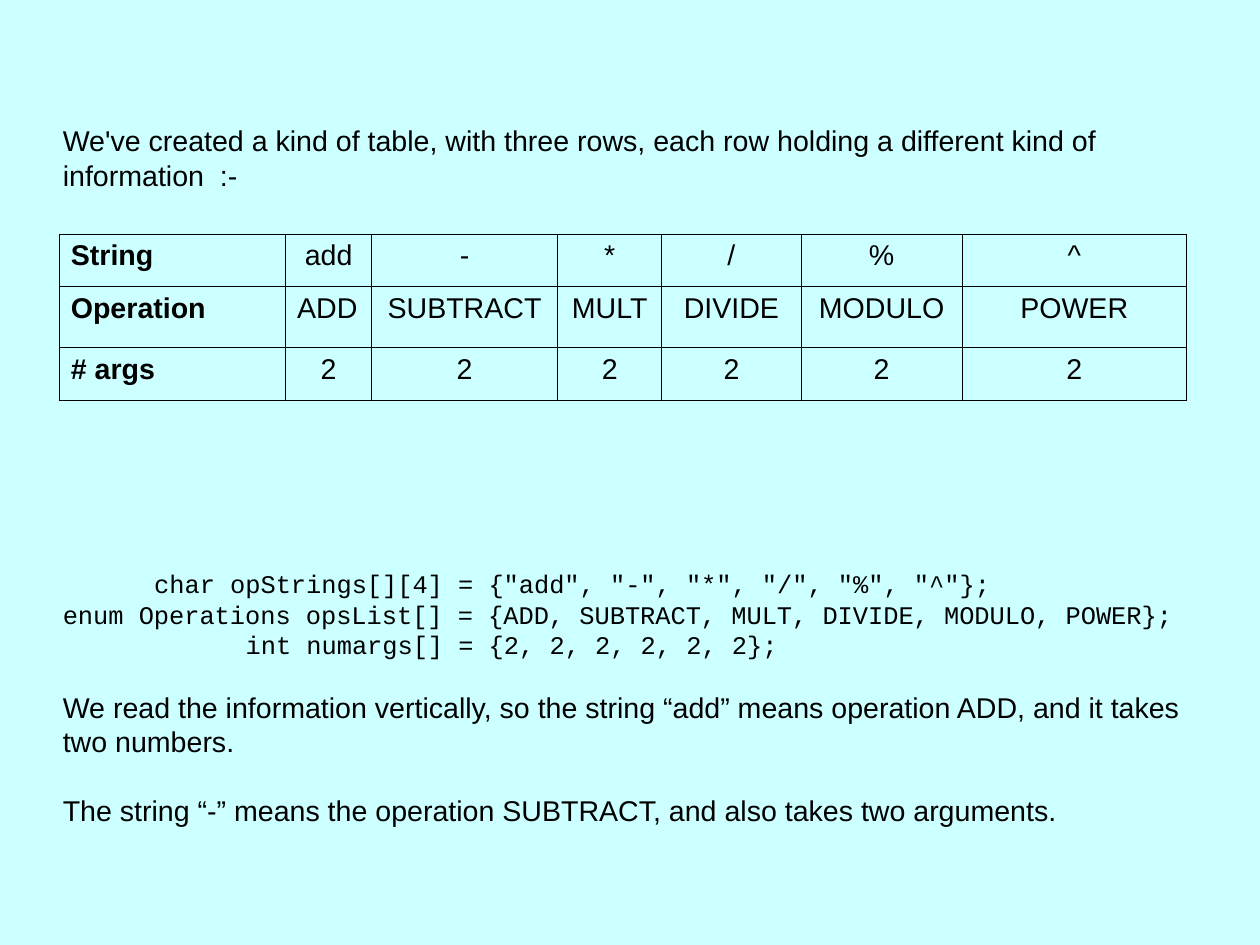
from dataclasses import dataclass

from pptx import Presentation, slide as sl, table as tb, util as u
from pptx.dml import color
from pptx.enum import text
from pptx.oxml import ns
from lxml import etree


@dataclass(frozen=True)
class Theme:
    background: str = "CCFFFF"
    ink: str = "000000"
    prose_font: str = "Arial"
    code_font: str = "Courier New"
    prose_size: float = 18
    code_size: float = 16
    leading: float = 1.2
    border_width: float = 0.57


@dataclass(frozen=True)
class Passage:
    words: str
    gap: float = 0
    code: bool = False
    indent_chars: int = 0


THEME = Theme()
PAGE_WIDTH = u.Emu(10080625)
PAGE_HEIGHT = u.Emu(7559675)
CODE_CHAR_WIDTH = 0.6 * THEME.code_size / 72

PASSAGES = [
    Passage("We've created a kind of table, with three rows, each row holding "
            "a different kind of information  :-"),
    Passage('char opStrings[][4] = {"add", "-", "*", "/", "%", "^"};',
            gap=237, code=True, indent_chars=6),
    Passage("enum Operations opsList[] = {ADD, SUBTRACT, MULT, DIVIDE, MODULO, POWER};",
            code=True),
    Passage("int numargs[] = {2, 2, 2, 2, 2, 2};", code=True, indent_chars=12),
    Passage("We read the information vertically, so the string “add” means "
            "operation ADD, and it takes two numbers.", gap=19),
    Passage("The string “-” means the operation SUBTRACT, and also takes two arguments.",
            gap=21.6),
]

OPERATION_ROWS = [
    ["String", "add", "-", "*", "/", "%", "^"],
    ["Operation", "ADD", "SUBTRACT", "MULT", "DIVIDE", "MODULO", "POWER"],
    ["# args"] + ["2"] * 6,
]
COLUMN_WIDTHS = [1.98, 0.75, 1.63, 0.91, 1.22, 1.41, 1.96]
ROW_HEIGHTS = [0.46, 0.53, 0.46]


def style_font(font, name: str, size: float, bold: bool = False) -> None:
    font.name = name
    font.size = u.Pt(size)
    font.bold = bold
    font.color.rgb = color.RGBColor.from_string(THEME.ink)


def add_passages(page: sl.Slide) -> None:
    box = page.shapes.add_textbox(u.Inches(0.55), u.Inches(0.47),
                                  u.Inches(10), u.Inches(7.17))
    frame = box.text_frame
    frame.text = "\n".join(passage.words for passage in PASSAGES)
    frame.word_wrap = True
    frame.vertical_anchor = text.MSO_ANCHOR.TOP
    frame.margin_left = frame.margin_right = frame.margin_bottom = 0
    frame.margin_top = u.Inches(0.61)
    for para, passage in zip(frame.paragraphs, PASSAGES):
        name = THEME.code_font if passage.code else THEME.prose_font
        size = THEME.code_size if passage.code else THEME.prose_size
        para.line_spacing = u.Pt(size * THEME.leading)
        para.space_before = u.Pt(passage.gap)
        if passage.indent_chars:
            indent = u.Inches(passage.indent_chars * CODE_CHAR_WIDTH)
            para._p.get_or_add_pPr().set("marL", str(indent))
        for span in para.runs:
            style_font(span.font, name, size)


def add_borders(cell: tb._Cell) -> None:
    properties = cell._tc.get_or_add_tcPr()
    for position, side in enumerate(("a:lnL", "a:lnR", "a:lnT", "a:lnB")):
        line = etree.Element(ns.qn(side), w=str(u.Pt(THEME.border_width)))
        fill = etree.SubElement(line, ns.qn("a:solidFill"))
        etree.SubElement(fill, ns.qn("a:srgbClr"), val=THEME.ink)
        properties.insert(position, line)


def fill_cell(cell: tb._Cell, words: str, heading: bool) -> None:
    cell.text_frame.text = words
    cell.fill.background()
    cell.margin_left = cell.margin_right = u.Inches(0.1)
    cell.margin_top = cell.margin_bottom = u.Inches(0.05)
    para = cell.text_frame.paragraphs[0]
    left_aligned = heading or words == "ADD"
    para.alignment = text.PP_ALIGN.LEFT if left_aligned else text.PP_ALIGN.CENTER
    style_font(para.runs[0].font, THEME.prose_font, THEME.prose_size, heading)
    add_borders(cell)


def add_operations_table(page: sl.Slide) -> None:
    table = page.shapes.add_table(
        len(ROW_HEIGHTS), len(COLUMN_WIDTHS), u.Inches(0.52), u.Inches(2.05),
        u.Inches(sum(COLUMN_WIDTHS)), u.Inches(sum(ROW_HEIGHTS))).table
    table.first_row = table.horz_banding = False
    for column, width in zip(table.columns, COLUMN_WIDTHS):
        column.width = u.Inches(width)
    for row, height, entries in zip(table.rows, ROW_HEIGHTS, OPERATION_ROWS):
        row.height = u.Inches(height)
        for index, (cell, words) in enumerate(zip(row.cells, entries)):
            fill_cell(cell, words, heading=index == 0)


def main() -> None:
    deck = Presentation()
    deck.slide_width = PAGE_WIDTH
    deck.slide_height = PAGE_HEIGHT
    page = deck.slides.add_slide(deck.slide_layouts[6])
    page.background.fill.solid()
    page.background.fill.fore_color.rgb = color.RGBColor.from_string(THEME.background)
    add_passages(page)
    add_operations_table(page)
    deck.save("out.pptx")


if __name__ == "__main__":
    main()
